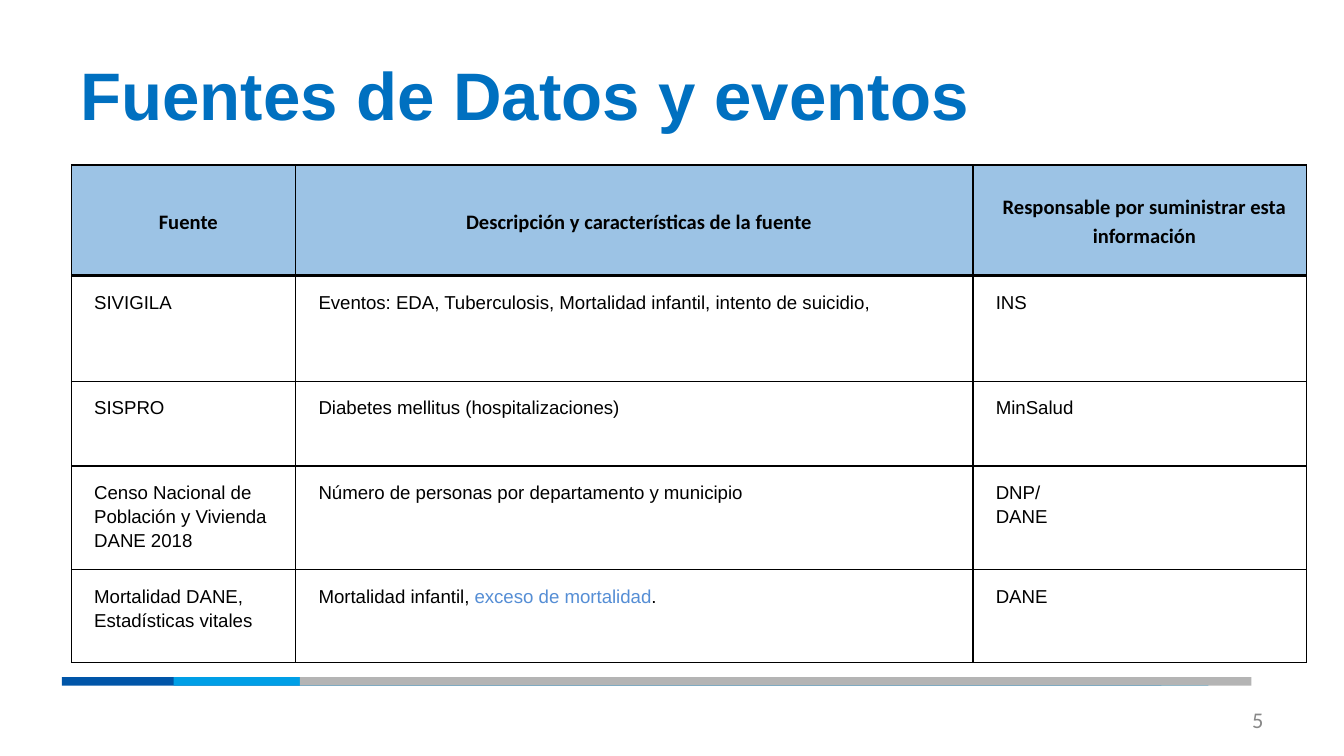
from lxml import etree
from pptx import Presentation
from pptx import util as u
from pptx.dml.color import RGBColor
from pptx.enum import shapes, text
from pptx.oxml import ns


def color(value):
    return RGBColor.from_string(value)


def add_span(box_para, words, font, size, tint, bold=False):
    span = box_para.add_run()
    span.text = words
    span.font.name = font
    span.font.size = u.Pt(size)
    span.font.bold = bold
    span.font.color.rgb = color(tint)


deck = Presentation()
deck.slide_width = u.Cm(25.4)
deck.slide_height = u.Cm(14.29)
page = deck.slides.add_slide(deck.slide_layouts[6])

bars = [(1.17, 20.78, "0055A8"), (3.28, 19.56, "009FE6"), (5.67, 17.98, "B4B4B4")]
for left, width, tint in bars:
    bar = page.shapes.add_shape(
        shapes.MSO_SHAPE.RECTANGLE, u.Cm(left), u.Cm(12.8), u.Cm(width), u.Cm(0.16))
    bar.shadow.inherit = False
    bar.fill.solid()
    bar.fill.fore_color.rgb = color(tint)
    bar.line.fill.background()

labels = [
    ("Fuentes de Datos y eventos", (1.27, 0.58, 22.86, 2.39),
     text.PP_ALIGN.LEFT, "Arial", 36, "0070C0", True),
    ("5", (18.21, 13.23, 5.92, 0.76),
     text.PP_ALIGN.RIGHT, "Calibri", 12, "888888", False),
]
for words, place, align, font, size, tint, bold in labels:
    box = page.shapes.add_textbox(*[u.Cm(length) for length in place])
    box.text_frame.word_wrap = True
    box.text_frame.vertical_anchor = text.MSO_ANCHOR.MIDDLE
    para = box.text_frame.paragraphs[0]
    para.alignment = align
    add_span(para, words, font, size, tint, bold)

header = [[
    ["Fuente"],
    ["Descripción y características de la fuente"],
    ["Responsable por suministrar esta información"],
]]
sources = [
    [["SIVIGILA"],
     ["Eventos: EDA, Tuberculosis, Mortalidad infantil, intento de suicidio,"],
     ["INS"]],
    [["SISPRO"], ["Diabetes mellitus (hospitalizaciones)"], ["MinSalud"]],
    [["Censo Nacional de Población y Vivienda DANE 2018"],
     ["Número de personas por departamento y municipio"],
     ["DNP/", "DANE"]],
    [["Mortalidad DANE,", "Estadísticas vitales"],
     ["Mortalidad infantil, |exceso de mortalidad|."],
     ["DANE"]],
]
columns = [4.24, 12.8, 6.3]
tables = [
    (header, 3.12, [2.08], True),
    (sources, 5.23, [1.98, 1.6, 1.86, 1.75], False),
]
for rows, top, heights, is_header in tables:
    table = page.shapes.add_table(
        len(rows), len(columns), u.Cm(1.35), u.Cm(top),
        u.Cm(sum(columns)), u.Cm(sum(heights))).table
    table.horz_banding = False
    table.first_row = is_header
    for column, width in zip(table.columns, columns):
        column.width = u.Cm(width)
    for row, height, contents in zip(table.rows, heights, rows):
        row.height = u.Cm(height)
        for cell, lines in zip(row.cells, contents):
            cell.margin_left = cell.margin_right = u.Cm(0.25)
            cell.margin_top = cell.margin_bottom = u.Cm(0.25)
            props = cell._tc.get_or_add_tcPr()
            for side in ("a:lnL", "a:lnR", "a:lnT", "a:lnB"):
                border = etree.SubElement(props, ns.qn(side), w=str(u.Pt(0.75)))
                paint = etree.SubElement(border, ns.qn("a:solidFill"))
                etree.SubElement(paint, ns.qn("a:srgbClr"), val="000000")
            if is_header:
                cell.vertical_anchor = text.MSO_ANCHOR.MIDDLE
                cell.fill.solid()
                cell.fill.fore_color.rgb = color("9CC3E5")
            else:
                cell.fill.background()
            for index, line in enumerate(lines):
                frame = cell.text_frame
                para = frame.add_paragraph() if index else frame.paragraphs[0]
                para.line_spacing = 1.15
                para._p.get_or_add_pPr().set("marL", str(u.Cm(0.18)))
                if is_header:
                    para.alignment = text.PP_ALIGN.CENTER
                    add_span(para, line, "Calibri", 11, "000000", True)
                    continue
                for part, words in enumerate(line.split("|")):
                    add_span(para, words, "Arial", 10, "558ED5" if part == 1 else "000000")

deck.save("out.pptx")
